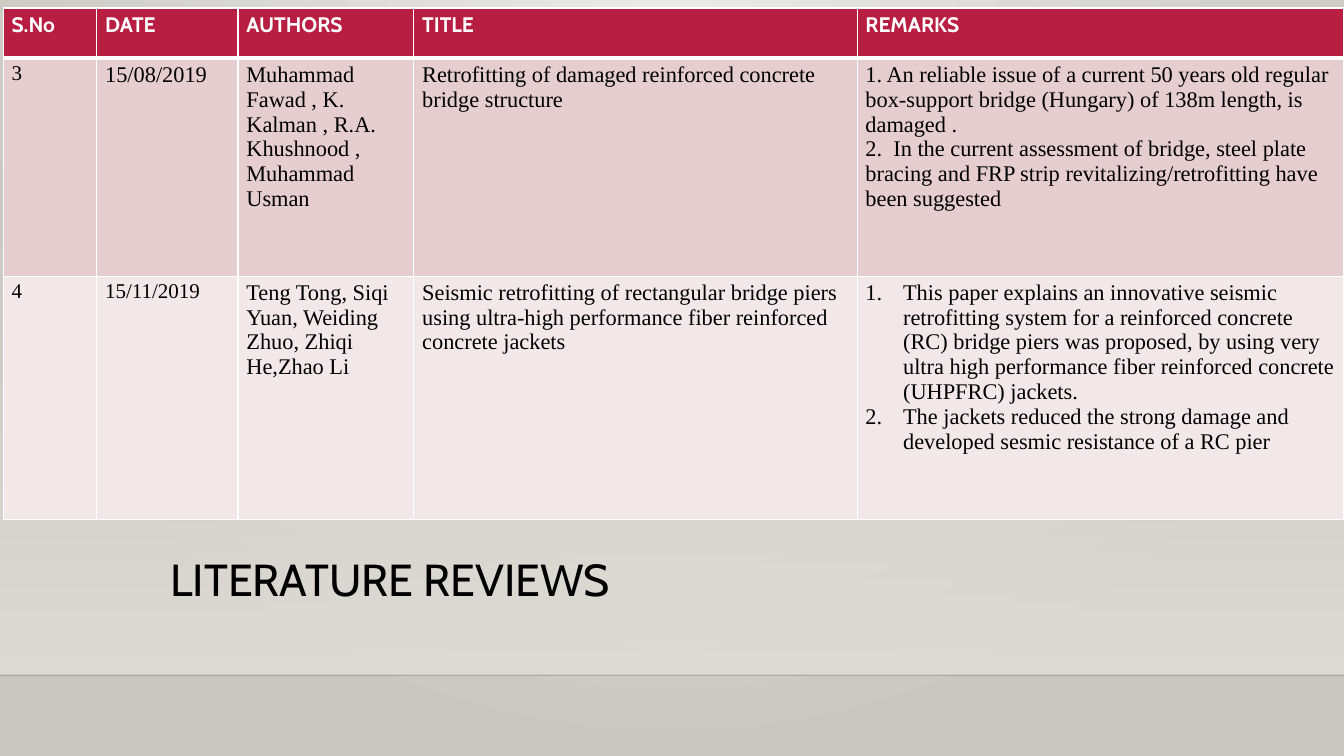
"""Build the literature review slide with its table of papers."""
from pptx import Presentation
from pptx.dml.color import RGBColor
from pptx.enum.shapes import MSO_CONNECTOR, MSO_SHAPE
from pptx.enum.text import MSO_ANCHOR, PP_ALIGN
from pptx.oxml import parse_xml
from pptx.oxml.ns import nsdecls, qn
from pptx.util import Cm, Pt

RECT = MSO_SHAPE.RECTANGLE
LINE = MSO_CONNECTOR.STRAIGHT
TOP = MSO_ANCHOR.TOP
LEFT = PP_ALIGN.LEFT

TITLE = "LITERATURE REVIEWS"
HEAD = ["S.No", "DATE", "AUTHORS", "TITLE", "REMARKS"]
PAPERS = [
    ["3", "15/08/2019",
     "Muhammad Fawad , K. Kalman , R.A. Khushnood , Muhammad Usman",
     "Retrofitting of damaged reinforced concrete bridge structure",
     "1. An reliable issue of a current 50 years old regular box-support "
     "bridge (Hungary) of 138m length, is damaged .\n"
     "2.  In the current assessment of bridge, steel plate bracing and FRP "
     "strip revitalizing/retrofitting have been suggested"],
    ["4", "15/11/2019",
     "Teng Tong, Siqi Yuan, Weiding Zhuo, Zhiqi He,Zhao Li",
     "Seismic retrofitting of rectangular bridge piers using ultra-high "
     "performance fiber reinforced concrete jackets",
     "This paper explains an innovative seismic retrofitting system for a "
     "reinforced concrete (RC) bridge piers was proposed, by using very ultra "
     "high performance fiber reinforced concrete (UHPFRC) jackets.\n"
     "The jackets reduced the strong damage and developed sesmic resistance "
     "of a RC pier"],
]
SMALL = {(0, col) for col in range(5)} | {(1, 0), (2, 0), (2, 1)}
LISTED = (2, 4)
COLS = [2.36, 3.56, 4.43, 11.17, 12.26]
ROWS = [1.27, 5.49, 6.14]
COLORS = {"head": "B71E42", "odd": "E6CDCF", "even": "F3E8E9",
          "white": "FFFFFF", "black": "000000", "edge": "000001",
          "glow": "ECEAE7", "base": "CAC7C1", "wall": "DFDBD5"}
BANDS = ["head", "odd", "even"]
WIDE, HIGH, FLOOR = 33.87, 19.05, 17.02
RADIAL = ('<a:path path="circle"><a:fillToRect l="43000" t="0" '
          'r="43000" b="100000"/></a:path>')
DOWN = '<a:lin ang="5400000" scaled="0"/>'


def rgb(name):
    return RGBColor.from_string(COLORS[name])


def blend(first, last, alpha, course):
    return parse_xml(
        f'<a:gradFill {nsdecls("a")} rotWithShape="1"><a:gsLst>'
        f'<a:gs pos="0"><a:srgbClr val="{COLORS[first]}">'
        f'<a:alpha val="{alpha * 1000}"/></a:srgbClr></a:gs>'
        f'<a:gs pos="100000"><a:srgbClr val="{COLORS[last]}"/></a:gs>'
        f'</a:gsLst>{course}</a:gradFill>')


def swap(parent, new):
    old = parent.find(qn("a:solidFill"))
    parent.replace(old, new)


def style(run, font, size, color, bold=False):
    run.font.name, run.font.size, run.font.bold = font, Pt(size), bold
    run.font.color.rgb = rgb(color)


def border(cell, row):
    widths = {"L": 1, "R": 1, "T": 3 if row == 1 else 1,
              "B": 3 if row == 0 else 1}
    props = cell._tc.get_or_add_tcPr()
    for spot, (side, width) in enumerate(widths.items()):
        props.insert(spot, parse_xml(
            f'<a:ln{side} {nsdecls("a")} w="{width * 12700}"><a:solidFill>'
            f'<a:srgbClr val="{COLORS["white"]}"/></a:solidFill></a:ln{side}>'))


def number(para):
    props = para._p.get_or_add_pPr()
    props.set("marL", str(Cm(0.95)))
    props.set("indent", str(-Cm(0.95)))
    props.append(parse_xml(
        f'<a:buAutoNum {nsdecls("a")} type="arabicPeriod"/>'))


def backdrop(slide):
    slide.background.fill.solid()
    swap(slide.element.find(".//" + qn("p:bgPr")),
         blend("glow", "base", 100, RADIAL))
    wall = slide.shapes.add_shape(RECT, 0, Cm(5.61), Cm(WIDE), Cm(FLOOR - 5.61))
    wall.shadow.inherit = False
    wall.line.fill.background()
    wall.fill.solid()
    swap(wall.element.spPr, blend("wall", "wall", 0, DOWN))
    edge = slide.shapes.add_connector(LINE, 0, Cm(FLOOR), Cm(WIDE), Cm(FLOOR))
    edge.line.width = Pt(1)
    edge.line.color.rgb = rgb("edge")
    edge.element.find(".//" + qn("a:srgbClr")).append(
        parse_xml(f'<a:alpha {nsdecls("a")} val="20000"/>'))
    edge.element.spPr.append(parse_xml(f'<a:effectLst {nsdecls("a")}/>'))


def heading(slide):
    title = slide.shapes.title
    title.left, title.top = Cm(4.04), Cm(13.92)
    title.width, title.height = Cm(26.67), Cm(2.67)
    frame = title.text_frame
    frame.text = TITLE
    frame.vertical_anchor = TOP
    para = frame.paragraphs[0]
    para.alignment, para.line_spacing = LEFT, 0.9
    style(para.runs[0], "Cabin", 32, "black")
    slide.shapes.element.append(title.element)


def reviews(slide):
    data = [HEAD] + PAPERS
    table = slide.shapes.add_table(
        len(ROWS), len(COLS), Cm(0.08), Cm(0.2),
        Cm(sum(COLS)), Cm(sum(ROWS))).table
    for col, width in zip(table.columns, COLS):
        col.width = Cm(width)
    for row, height in zip(table.rows, ROWS):
        row.height = Cm(height)
    for r, texts in enumerate(data):
        for c, text in enumerate(texts):
            cell = table.cell(r, c)
            cell.margin_left = cell.margin_right = Cm(0.21)
            cell.margin_top = cell.margin_bottom = Cm(0.1)
            cell.fill.solid()
            cell.fill.fore_color.rgb = rgb(BANDS[r])
            border(cell, r)
            cell.text_frame.text = text
            size = 15 if (r, c) in SMALL else 16
            for para in cell.text_frame.paragraphs:
                if r == 0:
                    style(para.runs[0], "Cabin", size, "white", True)
                else:
                    style(para.runs[0], "Times New Roman", size, "black")
                if (r, c) == LISTED:
                    number(para)


def main():
    deck = Presentation()
    deck.slide_width, deck.slide_height = Cm(WIDE), Cm(HIGH)
    slide = deck.slides.add_slide(deck.slide_layouts[5])
    backdrop(slide)
    heading(slide)
    reviews(slide)
    deck.save("out.pptx")


if __name__ == "__main__":
    main()
